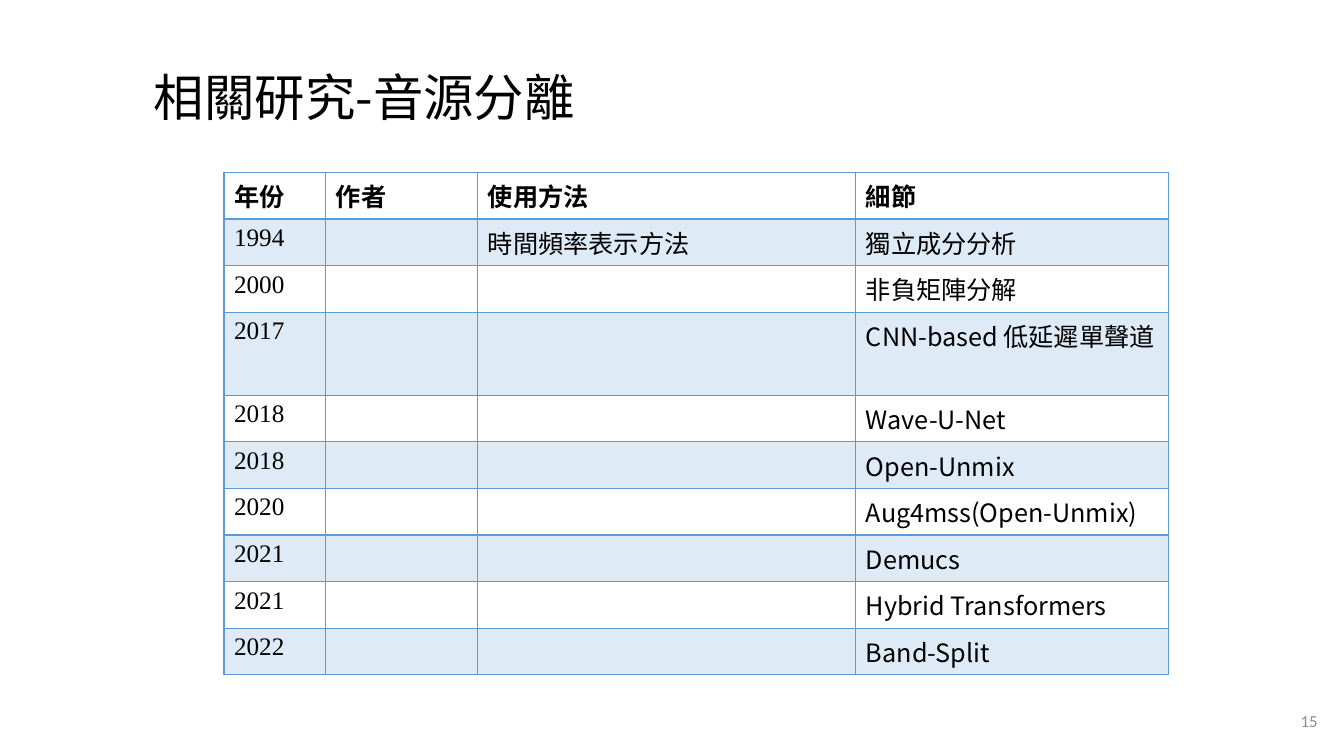
from lxml.etree import SubElement
from pptx import Presentation
from pptx.dml.color import RGBColor
from pptx.enum.text import MSO_ANCHOR as Anchor, MSO_AUTO_SIZE as Auto, PP_ALIGN as Align
from pptx.oxml import parse_xml
from pptx.oxml.ns import nsdecls, qn
from pptx.util import Pt

BLACK = RGBColor(0x00, 0x00, 0x00)
GRAY = RGBColor(0x8C, 0x8C, 0x8C)
BLUE = RGBColor(0x5B, 0x9B, 0xD5)

SANS = "Noto Sans CJK SC"
SERIF = "Times New Roman"
TITLE = {"name": SANS, "size": Pt(36), "bold": False}
PAGE = {"name": "Calibri", "size": Pt(12)}
HEAD = {"name": SANS, "size": Pt(18), "bold": True}
BODY = {**HEAD, "bold": False}
YEAR = {**BODY, "name": SERIF}

COLS = [72.7, 108.7, 270, 223.2]
ROW = 29.2
ROWS = [
    ("年份", "作者", "使用方法", "細節"),
    ("1994", "", "時間頻率表示方法", "獨立成分分析"),
    ("2000", "", "", "非負矩陣分解"),
    ("2017", "", "", "CNN-based 低延遲單聲道"),
    ("2018", "", "", "Wave-U-Net"),
    ("2018", "", "", "Open-Unmix"),
    ("2020", "", "", "Aug4mss(Open-Unmix)"),
    ("2021", "", "", "Demucs"),
    ("2021", "", "", "Hybrid Transformers"),
    ("2022", "", "", "Band-Split"),
]


def style(font, form, color):
    for key, value in form.items():
        setattr(font, key, value)
    font.color.rgb = color


def write(frame, text, form, color=BLACK, align=Align.LEFT):
    """Put one styled run into a text frame and return its paragraph."""
    para = frame.paragraphs[0]
    para.alignment = align
    if not text:
        style(para.font, form, color)
        return para
    run = para.add_run()
    run.text = text
    style(run.font, form, color)
    SubElement(run.font._element, qn("a:ea"), typeface=form["name"])
    return para


def place(shape, left, top, width, height):
    box = {"left": left, "top": top, "width": width, "height": height}
    for key, value in box.items():
        setattr(shape, key, Pt(value))


def add_title(slide, text):
    title = slide.shapes.title
    place(title, 100, 42.5, 320.4, 52.5)
    frame = title.text_frame
    frame.auto_size = Auto.NONE
    frame.word_wrap = True
    frame.vertical_anchor = Anchor.BOTTOM
    write(frame, text, TITLE, align=Align.CENTER).line_spacing = 0.9


def add_page(slide, text):
    box = slide.shapes.add_textbox(Pt(732.2), Pt(500.4), Pt(216), Pt(28.8))
    frame = box.text_frame
    frame.word_wrap = True
    frame.vertical_anchor = Anchor.MIDDLE
    write(frame, text, PAGE, GRAY, Align.RIGHT)


def tint(cell):
    """Fill a cell with blue at 20 % opacity."""
    cell.fill.solid()
    cell.fill.fore_color.rgb = BLUE
    color = cell._tc.tcPr.find(f".//{qn('a:srgbClr')}")
    SubElement(color, qn("a:alpha"), val="20000")


def border(cell, widths):
    """Draw the cell's sides; they must come before its fill in the XML."""
    for spot, (side, width) in enumerate(widths.items()):
        line = parse_xml(
            f'<a:ln{side} {nsdecls("a")} w="{Pt(width)}"><a:solidFill>'
            f'<a:srgbClr val="{BLUE}"/></a:solidFill></a:ln{side}>')
        cell._tc.tcPr.insert(spot, line)


def add_grid(slide):
    frame = slide.shapes.add_table(
        len(ROWS), len(COLS), Pt(160), Pt(123.1), Pt(sum(COLS)), Pt(ROW * len(ROWS)))
    table = frame.table
    table.first_row = table.horz_banding = False
    for col, width in zip(table.columns, COLS):
        col.width = Pt(width)
    for r, texts in enumerate(ROWS):
        table.rows[r].height = Pt(ROW)
        for c, text in enumerate(texts):
            cell = table.cell(r, c)
            form = HEAD if r == 0 else YEAR if c == 0 else BODY
            write(cell.text_frame, text, form)
            if r % 2:
                tint(cell)
            else:
                cell.fill.background()
            border(cell, {"L": 1, "R": 1, "T": 2 if r == 1 else 1, "B": 2 if r == 0 else 1})


def main():
    deck = Presentation()
    deck.slide_width, deck.slide_height = Pt(960), Pt(540)
    slide = deck.slides.add_slide(deck.slide_layouts[5])
    add_title(slide, "相關研究-音源分離")
    add_grid(slide)
    add_page(slide, "15")
    deck.save("out.pptx")


if __name__ == "__main__":
    main()
